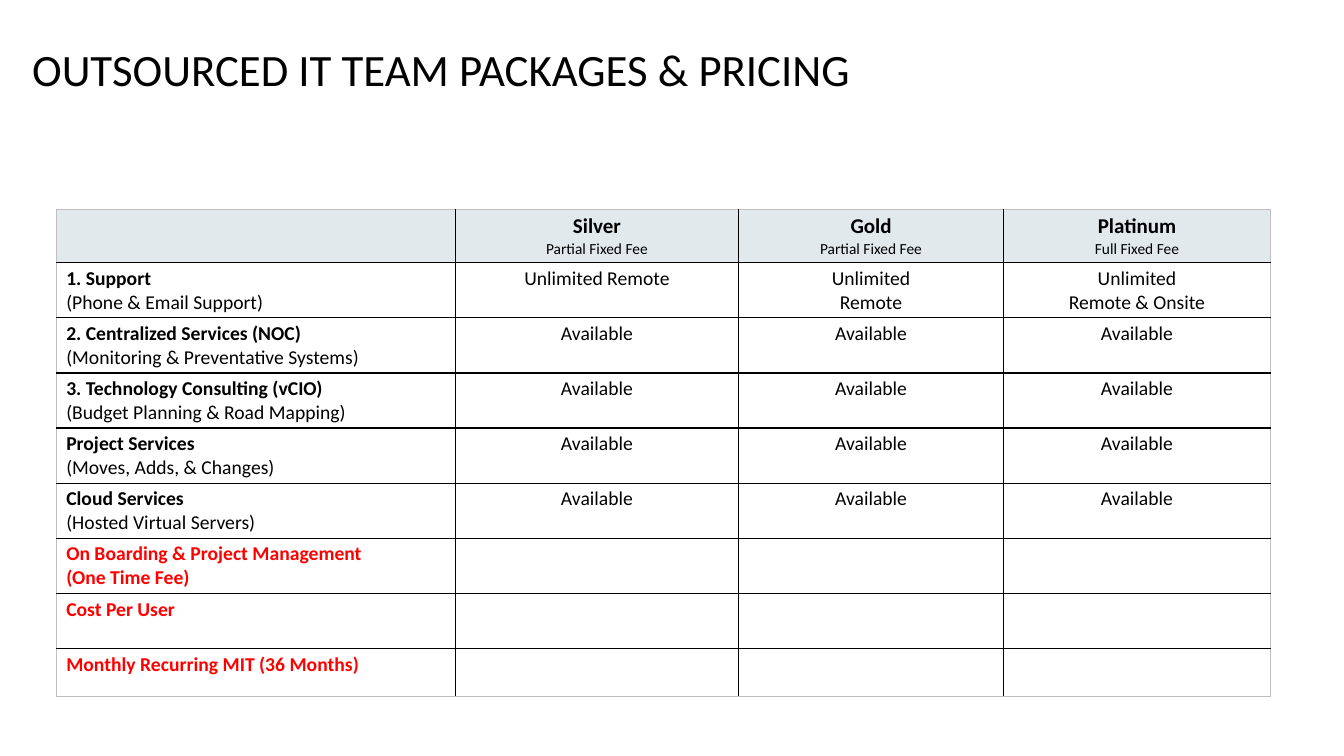
import dataclasses

import lxml.etree
import pptx
import pptx.dml.color
import pptx.enum.text
import pptx.oxml.ns
import pptx.util

Cm = pptx.util.Cm
Pt = pptx.util.Pt


@dataclasses.dataclass(frozen=True)
class Theme:
    """Colours, font and type sizes of the slide."""
    font: str = "Calibri"
    text: str = "000000"
    accent: str = "FF0000"
    header_fill: str = "E1E9EC"
    body_fill: str = "FFFFFF"
    inner_line: str = "000000"
    outer_line: str = "BFBFBF"
    title_size: int = 32
    package_size: int = 15
    fee_size: int = 11
    body_size: int = 14
    line_width: int = 1


THEME = Theme()
COLUMN_WIDTHS = [10.06, 7.14, 6.68, 6.73]
HEADER_HEIGHT, BODY_HEIGHT, LAST_HEIGHT = 1.34, 1.39, 1.2
PACKAGES = [
    ("Silver", "Partial Fixed Fee"),
    ("Gold", "Partial Fixed Fee"),
    ("Platinum", "Full Fixed Fee"),
]
AVAILABLE = [["Available"]] * len(PACKAGES)
SERVICES = [
    ("1. Support", "(Phone & Email Support)",
     [["Unlimited Remote"], ["Unlimited", "Remote"], ["Unlimited", "Remote & Onsite"]]),
    ("2. Centralized Services (NOC)", "(Monitoring & Preventative Systems)", AVAILABLE),
    ("3. Technology Consulting (vCIO)", "(Budget Planning & Road Mapping)", AVAILABLE),
    ("Project Services", "(Moves, Adds, & Changes)", AVAILABLE),
    ("Cloud Services", "(Hosted Virtual Servers)", AVAILABLE),
]
FEES = [
    ["On Boarding & Project Management", "(One Time Fee)"],
    ["Cost Per User"],
    ["Monthly Recurring MIT (36 Months)"],
]


def add_lines(text_frame, lines, centred=False):
    """Write one paragraph per (text, size, bold, colour) line."""
    for index, (text, size, bold, colour) in enumerate(lines):
        paragraph = text_frame.paragraphs[0] if index == 0 else text_frame.add_paragraph()
        if centred:
            paragraph.alignment = pptx.enum.text.PP_ALIGN.CENTER
        run = paragraph.add_run()
        run.text = text
        run.font.name = THEME.font
        run.font.size = Pt(size)
        run.font.bold = bold
        run.font.color.rgb = pptx.dml.color.RGBColor.from_string(colour)


def add_title(slide, left, top, width, height):
    """Place the slide title in the given box."""
    text_frame = slide.shapes.add_textbox(Cm(left), Cm(top), Cm(width), Cm(height)).text_frame
    text_frame.word_wrap = True
    add_lines(text_frame, [("OUTSOURCED IT TEAM PACKAGES & PRICING",
                            THEME.title_size, False, THEME.text)])
    text_frame.paragraphs[0].line_spacing = 0.9


def set_borders(cell, outer_sides):
    """Draw the four cell borders, lighter on the sides at the table edge."""
    properties = cell._tc.get_or_add_tcPr()
    for index, side in enumerate("LRTB"):
        line = lxml.etree.Element(pptx.oxml.ns.qn(f"a:ln{side}"), w=str(Pt(THEME.line_width)))
        fill = lxml.etree.SubElement(line, pptx.oxml.ns.qn("a:solidFill"))
        colour = THEME.outer_line if side in outer_sides else THEME.inner_line
        lxml.etree.SubElement(fill, pptx.oxml.ns.qn("a:srgbClr"), val=colour)
        properties.insert(index, line)


def table_rows():
    """Return the lines of every cell, row by row."""
    size = THEME.body_size
    rows = [[[]] + [[(name, THEME.package_size, True, THEME.text),
                     (fee, THEME.fee_size, False, THEME.text)] for name, fee in PACKAGES]]
    for name, detail, offers in SERVICES:
        label = [(name, size, True, THEME.text), (detail, size, False, THEME.text)]
        rows.append([label] + [[(text, size, False, THEME.text) for text in offer]
                               for offer in offers])
    for fee in FEES:
        label = [(text, size, True, THEME.accent) for text in fee]
        rows.append([label] + [[] for _ in PACKAGES])
    return rows


def add_pricing_table(slide, left, top, width):
    """Place the package table, sharing the width between its columns."""
    rows = table_rows()
    heights = [HEADER_HEIGHT] + [BODY_HEIGHT] * (len(rows) - 2) + [LAST_HEIGHT]
    table = slide.shapes.add_table(len(rows), len(COLUMN_WIDTHS), Cm(left), Cm(top),
                                   Cm(width), Cm(sum(heights))).table
    table.first_row = False
    table.horz_banding = False
    for column, share in zip(table.columns, COLUMN_WIDTHS):
        column.width = Cm(width * share / sum(COLUMN_WIDTHS))
    last_row, last_column = len(rows) - 1, len(COLUMN_WIDTHS) - 1
    for row_index, row in enumerate(rows):
        table.rows[row_index].height = Cm(heights[row_index])
        for column_index, lines in enumerate(row):
            cell = table.cell(row_index, column_index)
            cell.margin_left = cell.margin_right = Cm(0.25)
            cell.margin_top = cell.margin_bottom = Cm(0.1)
            cell.fill.solid()
            cell.fill.fore_color.rgb = pptx.dml.color.RGBColor.from_string(
                THEME.header_fill if row_index == 0 else THEME.body_fill)
            edges = {"L": column_index == 0, "R": column_index == last_column,
                     "T": row_index == 0, "B": row_index == last_row}
            set_borders(cell, [side for side, outer in edges.items() if outer])
            add_lines(cell.text_frame, lines, centred=column_index > 0)


def main():
    """Build and save the pricing slide."""
    presentation = pptx.Presentation()
    presentation.slide_width = Cm(33.87)
    presentation.slide_height = Cm(19.05)
    slide = presentation.slides.add_slide(presentation.slide_layouts[6])
    add_title(slide, 0.56, 1.07, 29.21, 2.46)
    add_pricing_table(slide, 1.42, 5.28, 30.6)
    presentation.save("out.pptx")


if __name__ == "__main__":
    main()
